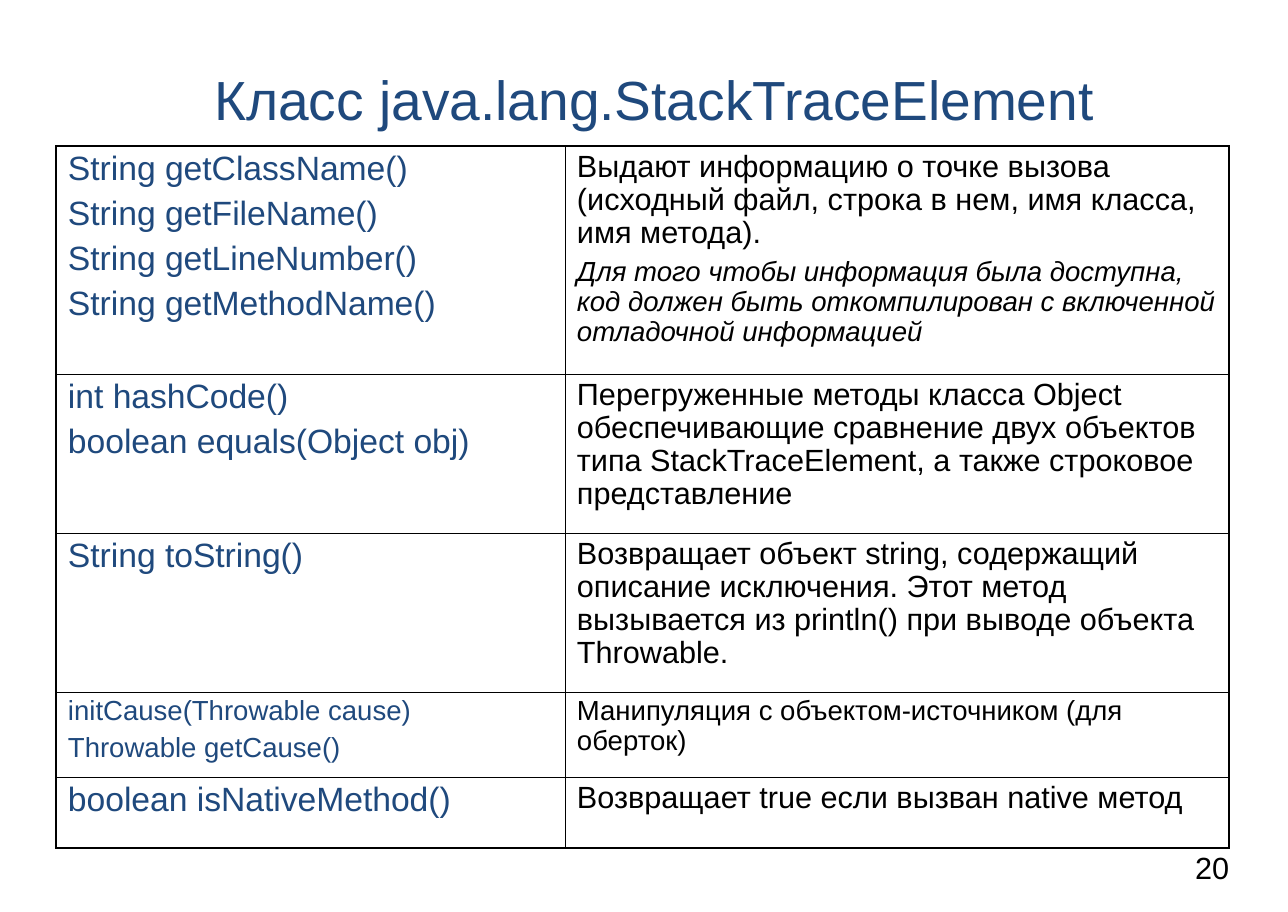
from lxml import etree
from pptx import Presentation, util as u
from pptx.dml.color import RGBColor
from pptx.enum import text
from pptx.oxml.ns import qn

PX = 914400 / 110.2
FONT = "Arial"
COLORS = {"title": "1F497D", "method": "1F497D", "note": "000000", "line": "000000"}
THIN, THICK = 0.45, 1.08

# Content: each cell is a list of (text, size, italic)
TITLE = "Класс java.lang.StackTraceElement"
PAGE = "20"
ROWS = [
    ([("String getClassName()", 22, False),
      ("String getFileName()", 22, False),
      ("String getLineNumber()", 22, False),
      ("String getMethodName()", 22, False)],
     [("Выдают информацию о точке вызова (исходный файл, строка в нем, "
       "имя класса, имя метода).", 20, False),
      ("Для того чтобы информация была доступна, код должен быть "
       "откомпилирован с включенной отладочной информацией", 18, True)]),
    ([("int hashCode()", 22, False),
      ("boolean equals(Object obj)", 22, False)],
     [("Перегруженные методы класса Object обеспечивающие сравнение двух объектов "
       "типа StackTraceElement, а также строковое представление", 20, False)]),
    ([("String toString()", 22, False)],
     [("Возвращает объект string, содержащий описание исключения. Этот метод "
       "вызывается из println() при выводе объекта Throwable.", 20, False)]),
    ([("initCause(Throwable cause)", 18, False),
      ("Throwable getCause()", 18, False)],
     [("Манипуляция с объектом-источником (для оберток)", 18, False)]),
    ([("boolean isNativeMethod()", 22, False)],
     [("Возвращает true если вызван native метод", 20, False)]),
]
COL_WIDTHS = [509, 664]
ROW_HEIGHTS = [228, 159, 159, 85, 71]


def px(n):
    return u.Emu(round(n * PX))


def place(s, x, y, w, h):
    s.left, s.top, s.width, s.height = px(x), px(y), px(w), px(h)


def write(tf, lines, color):
    for i, (line, size, italic) in enumerate(lines):
        p = tf.paragraphs[0] if i == 0 else tf.add_paragraph()
        p.text = line
        p.line_spacing = 0.97
        p.space_before = u.Pt(size / 4 if i else 0)
        f = p.font
        f.name, f.size, f.italic = FONT, u.Pt(size), italic
        f.color.rgb = RGBColor.from_string(COLORS[color])


def no_insets(tf):
    tf.margin_left = tf.margin_top = tf.margin_right = tf.margin_bottom = 0


def set_borders(cell, widths):
    tc_pr = cell._tc.get_or_add_tcPr()
    for i, (side, width) in enumerate(widths.items()):
        ln = etree.Element(qn(f"a:ln{side}"), w=str(u.Pt(width)))
        fill = etree.SubElement(ln, qn("a:solidFill"))
        etree.SubElement(fill, qn("a:srgbClr"), val=COLORS["line"])
        tc_pr.insert(i, ln)


prs = Presentation()
prs.slide_width, prs.slide_height = px(1288), px(912)
slide = prs.slides.add_slide(prs.slide_layouts[5])

# Title
title = slide.shapes.title
place(title, 45, 63, 1218, 76)
tf = title.text_frame
no_insets(tf)
tf.vertical_anchor = text.MSO_ANCHOR.MIDDLE
write(tf, [(TITLE, 36, False)], "title")
tf.paragraphs[0].alignment = text.PP_ALIGN.CENTER

# Page number
page = slide.shapes.add_textbox(px(1195), px(851), px(68), px(55))
page.text_frame.word_wrap = True
no_insets(page.text_frame)
write(page.text_frame, [(PAGE, 20, False)], "note")

# Table of methods
table = slide.shapes.add_table(len(ROWS), len(COL_WIDTHS), px(56), px(146),
                               px(sum(COL_WIDTHS)), px(sum(ROW_HEIGHTS))).table
table.first_row = table.horz_banding = False
for col, width in zip(table.columns, COL_WIDTHS):
    col.width = px(width)
last_row, last_col = len(ROWS) - 1, len(COL_WIDTHS) - 1
for r, (row, height) in enumerate(zip(ROWS, ROW_HEIGHTS)):
    table.rows[r].height = px(height)
    for c, (lines, color) in enumerate(zip(row, ("method", "note"))):
        cell = table.cell(r, c)
        cell.fill.background()
        cell.margin_left = cell.margin_right = px(12)
        cell.margin_top = cell.margin_bottom = px(5)
        write(cell.text_frame, lines, color)
        set_borders(cell, {"L": THIN if c else THICK,
                           "R": THICK if c == last_col else THIN,
                           "T": THIN if r else THICK,
                           "B": THICK if r == last_row else THIN})

prs.save("out.pptx")
